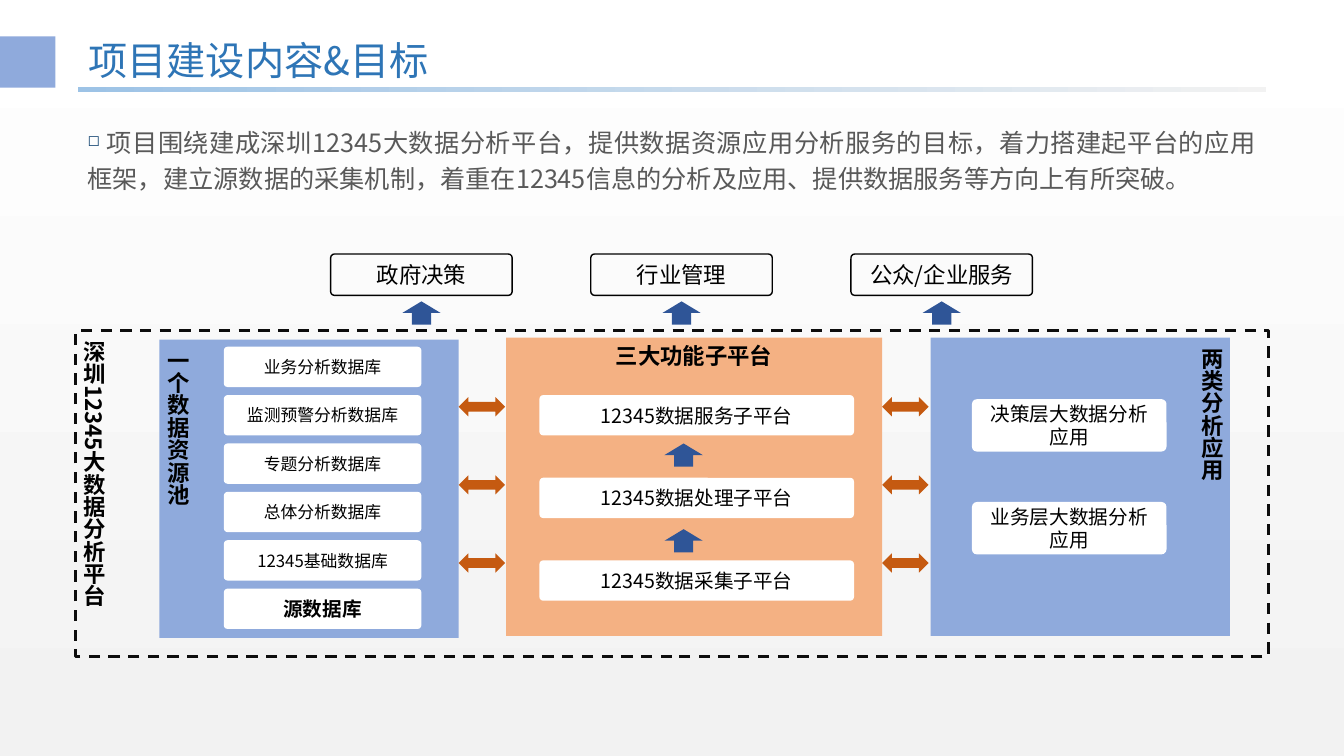
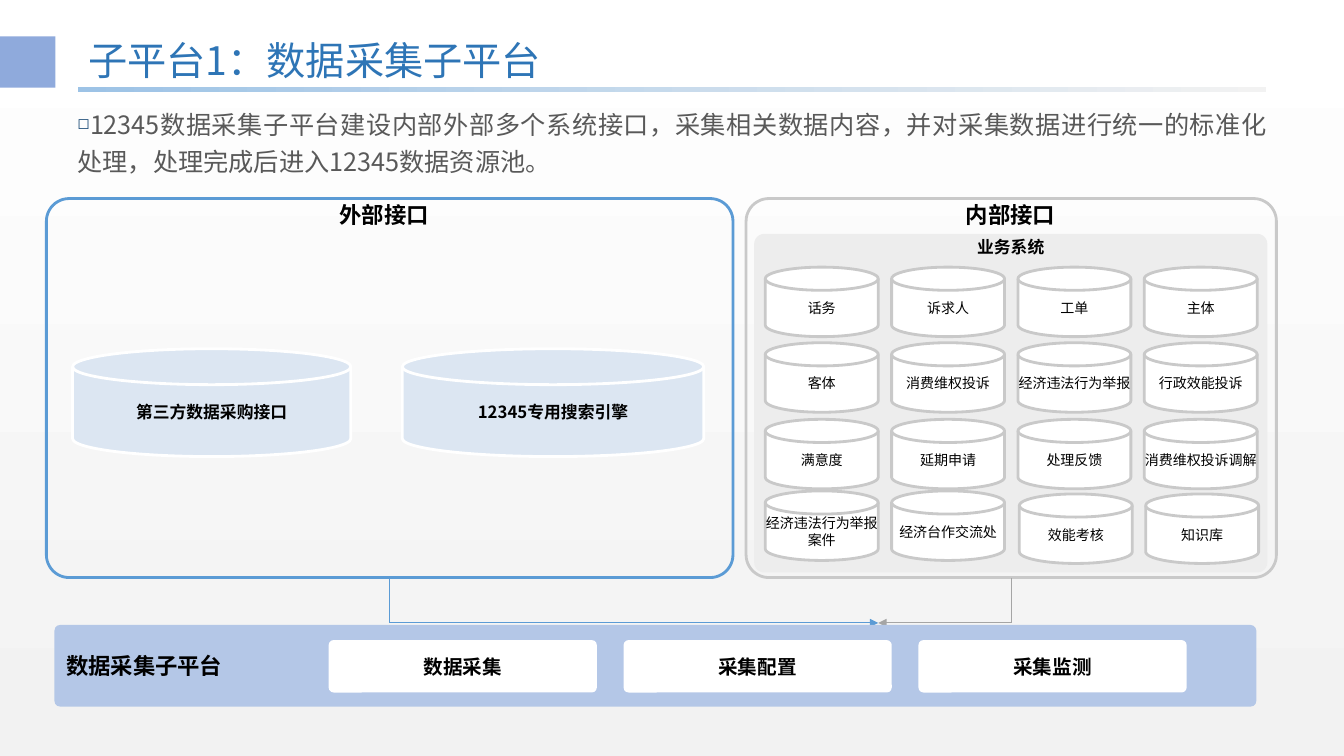
import lxml.etree
import pptx
import pptx.dml.color
import pptx.enum.dml
import pptx.enum.shapes
import pptx.enum.text
import pptx.oxml.ns
import pptx.util

RGBColor = pptx.dml.color.RGBColor
WHITE = RGBColor(0xFF, 0xFF, 0xFF)
BLACK = RGBColor(0x00, 0x00, 0x00)
INK = RGBColor(0x0D, 0x0D, 0x0D)
PALE = RGBColor(0xF2, 0xF2, 0xF2)
PANEL_GRAY = RGBColor(0xED, 0xED, 0xED)
EDGE_GRAY = RGBColor(0xC9, 0xC9, 0xC9)
LINK_GRAY = RGBColor(0xA5, 0xA5, 0xA5)
TEXT_GRAY = RGBColor(0x59, 0x59, 0x59)
BLUE = RGBColor(0x8F, 0xAA, 0xDC)
SKY = RGBColor(0x9D, 0xC3, 0xE6)
TITLE_BLUE = RGBColor(0x2E, 0x75, 0xB6)
ARROW_BLUE = RGBColor(0x2F, 0x55, 0x97)
EDGE_BLUE = RGBColor(0x5B, 0x9B, 0xD5)
BAND_BLUE = RGBColor(0xB4, 0xC7, 0xE7)
DISK_BLUE = RGBColor(0xDC, 0xE6, 0xF2)
ORANGE = RGBColor(0xF4, 0xB1, 0x83)
RUST = RGBColor(0xC5, 0x5A, 0x11)

FONT = "Noto Sans CJK SC"
CELL = 0.1
SHAPE = pptx.enum.shapes.MSO_SHAPE
ALIGN = pptx.enum.text.PP_ALIGN
ANCHOR = pptx.enum.text.MSO_ANCHOR
STRAIGHT = pptx.enum.shapes.MSO_CONNECTOR.STRAIGHT
DASH = pptx.enum.dml.MSO_LINE.DASH


def grid(cells):
    return pptx.util.Inches(cells * CELL)


def add_node(parent, tag, **attributes):
    return lxml.etree.SubElement(parent, pptx.oxml.ns.qn(tag), attributes)


def add_bullet(para):
    properties = para._p.get_or_add_pPr()
    properties.set("marL", "0")
    properties.set("indent", str(-grid(2.5)))
    add_node(add_node(properties, "a:buClr"), "a:srgbClr", val="1F4E79")
    add_node(properties, "a:buSzPct", val="60000")
    add_node(properties, "a:buChar", char="◻")


def write_text(box, text, size=14, bold=False, color=BLACK, align=ALIGN.CENTER,
               anchor=ANCHOR.MIDDLE, side=1, edge=0.5, spacing=None,
               bullet=False, vertical=False, wrap=True):
    frame = box.text_frame
    frame.word_wrap = wrap
    frame.vertical_anchor = anchor
    frame.margin_left = frame.margin_right = grid(side)
    frame.margin_top = frame.margin_bottom = grid(edge)
    if vertical:
        frame._txBody.bodyPr.set("vert", "eaVert")
    para = frame.paragraphs[0]
    para.alignment = align
    if spacing:
        para.line_spacing = spacing
    if bullet:
        add_bullet(para)
    span = para.add_run()
    span.text = text
    span.font.size = pptx.util.Pt(size)
    span.font.bold = bold
    span.font.color.rgb = color
    span.font.name = FONT
    add_node(span._r.get_or_add_rPr(), "a:ea", typeface=FONT)


def fade(fill, start, end, angle):
    fill.gradient()
    fill.gradient_angle = angle
    for stop, color in zip(fill.gradient_stops, (start, end)):
        stop.color.rgb = color


class Sketch:
    def __init__(self):
        self.deck = pptx.Presentation()
        self.deck.slide_width = pptx.util.Inches(13.33)
        self.deck.slide_height = pptx.util.Inches(7.5)
        self.page = None

    def start_page(self, title):
        self.page = self.deck.slides.add_slide(self.deck.slide_layouts[6])
        fade(self.page.background.fill, WHITE, PALE, 270)
        self.shape(SHAPE.RECTANGLE, 0, 3.6, 5.5, 5.1, fill=BLUE)
        rule = self.shape(SHAPE.RECTANGLE, 7.7, 8.6, 117.9, 0.5)
        fade(rule.fill, SKY, PALE, 0)
        self.label(title, 7.8, 3.6, 115, 5.3, size=28, color=TITLE_BLUE,
                   align=ALIGN.LEFT, spacing=0.9)

    def label(self, text, left, top, width, height, **style):
        box = self.page.shapes.add_textbox(*map(grid, (left, top, width, height)))
        write_text(box, text, **style)

    def lead(self, text, left, top, width, height):
        self.label(text, left, top, width, height, size=18, color=TEXT_GRAY,
                   align=ALIGN.JUSTIFY, anchor=ANCHOR.TOP, spacing=1.2, bullet=True)

    def shape(self, kind, left, top, width, height, text=None, fill=None,
              line=None, weight=2, dash=None, corner=None, **style):
        box = self.page.shapes.add_shape(kind, *map(grid, (left, top, width, height)))
        box.shadow.inherit = False
        if corner is not None:
            box.adjustments[0] = corner
        if fill is None:
            box.fill.background()
        else:
            box.fill.solid()
            box.fill.fore_color.rgb = fill
        if line is None:
            box.line.fill.background()
        else:
            box.line.color.rgb = line
            box.line.width = pptx.util.Pt(weight)
            if dash:
                box.line.dash_style = dash
        if text:
            write_text(box, text, **style)
        return box

    def panel(self, left, top, width, height, text, **style):
        self.shape(SHAPE.RECTANGLE, left, top, width, height, text,
                   size=16, bold=True, **style)

    def card(self, left, top, width, height, text, fill=WHITE, corner=0.095, **style):
        self.shape(SHAPE.ROUNDED_RECTANGLE, left, top, width, height, text,
                   fill=fill, corner=corner, **style)

    def disk(self, left, top, width, height, text, fill=WHITE, line=EDGE_GRAY, **style):
        self.shape(SHAPE.FLOWCHART_MAGNETIC_DISK, left, top, width, height, text,
                   fill=fill, line=line, side=0, **style)

    def up_arrow(self, left, top):
        self.shape(SHAPE.UP_ARROW, left, top, 3.8, 2.3, fill=ARROW_BLUE)

    def link(self, points, color):
        for start, end in zip(points, points[1:]):
            wire = self.page.shapes.add_connector(STRAIGHT, *map(grid, start + end))
            wire.line.color.rgb = color
            wire.line.width = pptx.util.Pt(0.75)
            if end == points[-1]:
                add_node(wire.line._get_or_add_ln(), "a:tailEnd", type="triangle")
            add_node(wire._element.spPr, "a:effectLst")


def build_goals(sketch):
    sketch.start_page("项目建设内容&目标")
    sketch.lead(" 项目围绕建成深圳12345大数据分析平台，提供数据资源应用分析服务的目标，"
                "着力搭建起平台的应用框架，建立源数据的采集机制，着重在12345信息的分析"
                "及应用、提供数据服务等方向上有所突破。", 7.7, 11.5, 117.9, 11.9)

    for column, audience in enumerate(("政府决策", "行业管理", "公众/企业服务")):
        left = 32.8 + 25.8 * column
        sketch.card(left, 25.2, 18, 4.1, audience, fill=None, line=BLACK,
                    weight=1, corner=0.09, size=16)
        sketch.up_arrow(left + 7.1, 29.9)

    column_text = dict(vertical=True, align=ALIGN.LEFT)
    sketch.panel(7.5, 32.8, 118.3, 32.3, "深圳12345大数据分析平台", line=INK,
                 dash=DASH, anchor=ANCHOR.BOTTOM, **column_text)
    sketch.panel(15.8, 33.7, 29.7, 29.6, "一个数据资源池", fill=BLUE,
                 anchor=ANCHOR.BOTTOM, **column_text)
    sketch.panel(50.2, 33.5, 37.3, 29.6, "三大功能子平台", fill=ORANGE,
                 anchor=ANCHOR.TOP)
    sketch.panel(92.3, 33.5, 29.7, 29.6, "两类分析应用", fill=BLUE,
                 anchor=ANCHOR.TOP, **column_text)

    databases = ("业务分析数据库", "监测预警分析数据库", "专题分析数据库",
                 "总体分析数据库", "12345基础数据库", "源数据库")
    for row, name in enumerate(databases):
        source = name == databases[-1]
        sketch.card(22.2, 34.4 + 4.8 * row, 19.6, 4, name,
                    size=14 if source else 12, bold=source)

    for row, stage in enumerate(("服务", "处理", "采集")):
        sketch.card(53.5, 39.2 + 8.2 * row, 31.2, 4, f"12345数据{stage}子平台")
        for left in (45.5, 87.5):
            sketch.shape(SHAPE.LEFT_RIGHT_ARROW, left, 39.4 + 7.75 * row, 4.6, 1.9,
                         fill=RUST)
    for top in (44, 52.5):
        sketch.up_arrow(65.9, top)

    for row, layer in enumerate(("决策", "业务")):
        sketch.card(96.4, 39.6 + 10.2 * row, 19.3, 5.2, f"{layer}层大数据分析应用")


def build_collection(sketch):
    sketch.start_page("子平台1：数据采集子平台")
    sketch.lead("12345数据采集子平台建设内部外部多个系统接口，采集相关数据内容，"
                "并对采集数据进行统一的标准化处理，处理完成后进入12345数据资源池。",
                6.7, 9.8, 120, 8.3)

    sketch.card(74.8, 23.2, 50.9, 33.6, "业务系统", fill=PANEL_GRAY, corner=0.03,
                size=12, bold=True, anchor=ANCHOR.TOP, side=0, edge=0)
    systems = (
        (75.9, 26.5, ("话务", "诉求人", "工单", "主体")),
        (75.9, 34, ("客体", "消费维权投诉", "经济违法行为举报", "行政效能投诉")),
        (75.9, 41.6, ("满意度", "延期申请", "处理反馈", "消费维权投诉调解")),
        (75.9, 48.7, ("经济违法行为举报案件", "经济台作交流处")),
        (101.1, 49, ("效能考核", "知识库")),
    )
    for left, top, names in systems:
        for column, name in enumerate(names):
            sketch.disk(left + 12.53 * column, top, 11.2, 6.9, name, size=10)

    for left, width, name in ((7.2, 27.6, "第三方数据采购接口"),
                              (39.9, 29.9, "12345专用搜索引擎")):
        sketch.disk(left, 34.6, width, 10.7, name, fill=DISK_BLUE, line=WHITE,
                    size=12, bold=True)

    sides = (("外部接口", 32.7, 4.6, 68.1, EDGE_BLUE, EDGE_BLUE),
             ("内部接口", 94.8, 74, 52.6, EDGE_GRAY, LINK_GRAY))
    for name, name_left, left, width, edge_color, link_color in sides:
        sketch.label(name, name_left, 19.5, 11, 3.7, size=16, bold=True,
                     align=ALIGN.LEFT, anchor=ANCHOR.TOP, wrap=False)
        sketch.card(left, 19.7, width, 37.6, None, fill=None, line=edge_color,
                    corner=0.06)
        middle = left + width / 2
        sketch.link([(middle, 57.3), (middle, 61.8), (87.1, 61.8)], link_color)

    sketch.card(5.4, 62, 119.2, 8.1, "数据采集子平台", fill=BAND_BLUE, corner=0.07,
                size=16, bold=True, align=ALIGN.LEFT)
    for column, task in enumerate(("数据采集", "采集配置", "采集监测")):
        sketch.card(32.6 + 29.25 * column, 63.5, 26.6, 5.2, task, bold=True)


def main():
    sketch = Sketch()
    build_goals(sketch)
    build_collection(sketch)
    sketch.deck.save("out.pptx")


if __name__ == "__main__":
    main()
